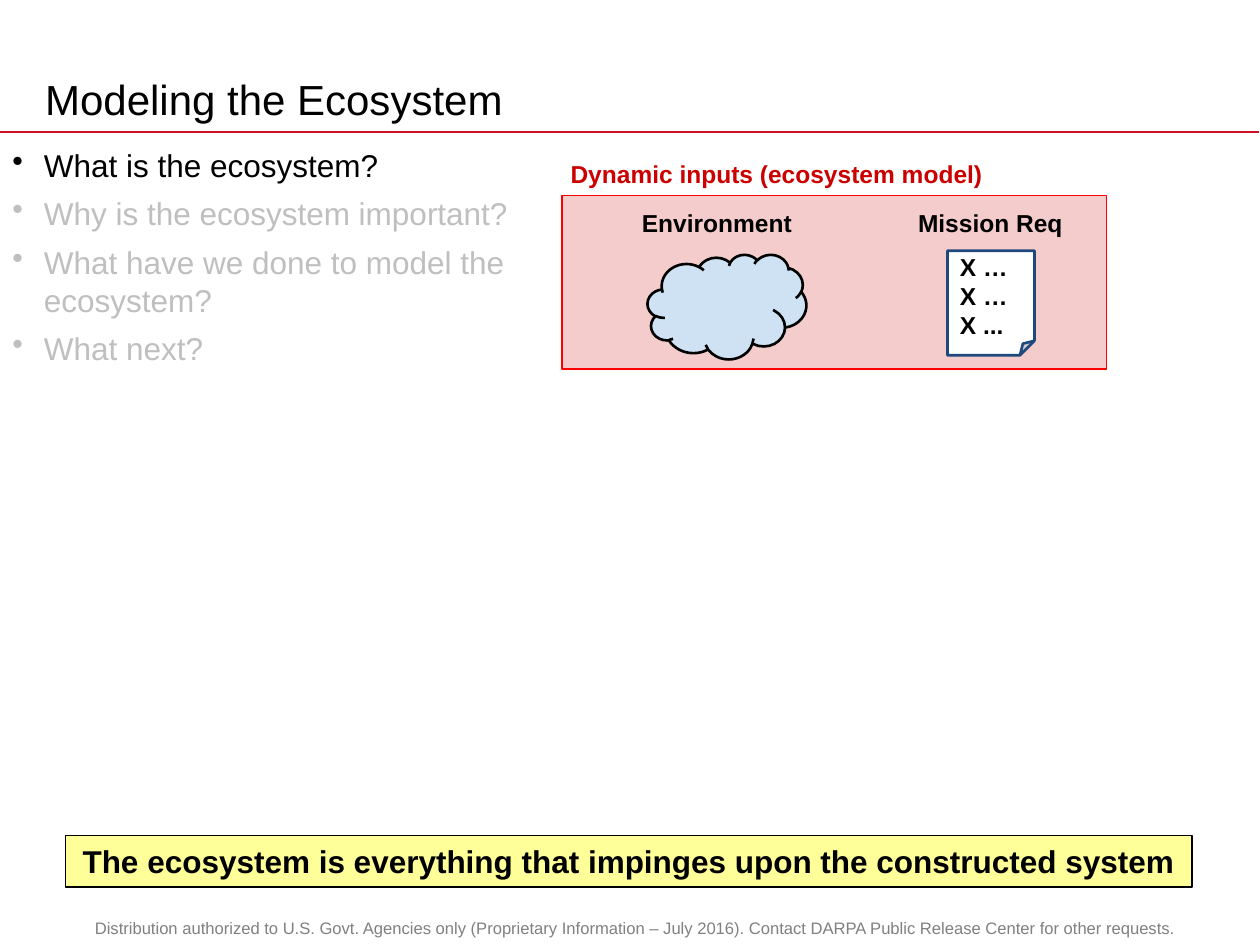
import pptx
import pptx.dml.color
import pptx.enum.shapes
import pptx.enum.text
import pptx.oxml
import pptx.util
from pptx.util import Inches, Pt

RGBColor = pptx.dml.color.RGBColor
MSO_SHAPE = pptx.enum.shapes.MSO_SHAPE
PP_ALIGN = pptx.enum.text.PP_ALIGN
MSO_ANCHOR = pptx.enum.text.MSO_ANCHOR

FONT = "Arial"
BLACK = RGBColor(0x00, 0x00, 0x00)
WHITE = RGBColor(0xFF, 0xFF, 0xFF)
RULE_RED = RGBColor(0xCE, 0x11, 0x26)
HEADING_RED = RGBColor(0xCC, 0x00, 0x00)
BORDER_RED = RGBColor(0xFF, 0x00, 0x00)
PINK = RGBColor(0xF4, 0xCC, 0xCC)
PALE_BLUE = RGBColor(0xCF, 0xE2, 0xF3)
NAVY = RGBColor(0x1F, 0x49, 0x7D)
YELLOW = RGBColor(0xFF, 0xFF, 0x99)
GRAY = RGBColor(0x80, 0x80, 0x80)
FADED = RGBColor(0xBF, 0xBF, 0xBF)

TITLE = "Modeling the Ecosystem"
QUESTIONS = [
    ("What is the ecosystem?", BLACK),
    ("Why is the ecosystem important?", FADED),
    ("What have we done to model the ecosystem?", FADED),
    ("What next?", FADED),
]
MODEL_HEADING = "Dynamic inputs (ecosystem model)"
INPUT_LABELS = [("Environment", 4.9), ("Mission Req", 7.07)]
REQUIREMENTS = ["X …", "X …", "X ..."]
TAKEAWAY = "The ecosystem is everything that impinges upon the constructed system"
FOOTER = (
    "Distribution authorized to U.S. Govt. Agencies only (Proprietary Information – July 2016). "
    "Contact DARPA Public Release Center for other requests."
)


def write(shape, lines, size, color=BLACK, bold=False, align=PP_ALIGN.LEFT, anchor=MSO_ANCHOR.TOP):
    frame = shape.text_frame
    frame.word_wrap = True
    frame.vertical_anchor = anchor
    frame.margin_left = frame.margin_right = Inches(0.1)
    frame.margin_top = frame.margin_bottom = Inches(0.1)
    frame.text = "\n".join(lines)
    for paragraph in frame.paragraphs:
        paragraph.alignment = align
        for run in paragraph.runs:
            run.font.name = FONT
            run.font.size = Pt(size)
            run.font.bold = bold
            run.font.color.rgb = color
    return frame


def add_text(shapes, box, lines, size, **style):
    return write(shapes.add_textbox(*map(Inches, box)), lines, size, **style)


def add_box(shapes, kind, box, fill, line, width):
    shape = shapes.add_shape(kind, *map(Inches, box))
    shape.shadow.inherit = False
    shape.fill.solid()
    shape.fill.fore_color.rgb = fill
    shape.line.color.rgb = line
    shape.line.width = Pt(width)
    return shape


def add_rule(shapes):
    rule = shapes.add_connector(
        pptx.enum.shapes.MSO_CONNECTOR.STRAIGHT, 0, Inches(1.05), Inches(9.99), Inches(1.05)
    )
    rule.line.color.rgb = RULE_RED
    rule.line.width = Pt(1)
    properties = rule._element.spPr
    properties.append(pptx.oxml.parse_xml(
        '<a:effectLst xmlns:a="http://schemas.openxmlformats.org/drawingml/2006/main"/>'
    ))


def add_model(shapes):
    add_text(shapes, (4.43, 1.16, 4.6, 0.54), [MODEL_HEADING], 14, color=HEADING_RED, bold=True)
    add_box(shapes, MSO_SHAPE.RECTANGLE, (4.46, 1.55, 4.32, 1.38), PINK, BORDER_RED, 0.75)
    add_box(shapes, MSO_SHAPE.CLOUD, (5.14, 2.02, 1.26, 0.83), PALE_BLUE, BLACK, 1.5)
    for label, left in INPUT_LABELS:
        add_text(shapes, (left, 1.55, 1.58, 0.51), [label], 14, bold=True, align=PP_ALIGN.CENTER)
    note = add_box(shapes, MSO_SHAPE.FOLDED_CORNER, (7.52, 1.99, 0.69, 0.83), WHITE, NAVY, 1.5)
    write(note, REQUIREMENTS, 14, bold=True, anchor=MSO_ANCHOR.MIDDLE)


def add_questions(shapes):
    frame = add_text(shapes, (0, 1.06, 4.39, 2.17), [text for text, _ in QUESTIONS], 18)
    for paragraph, (_, color) in zip(frame.paragraphs, QUESTIONS):
        properties = paragraph._p.get_or_add_pPr()
        properties.set("marL", str(Inches(0.25)))
        properties.set("indent", str(-Inches(0.25)))
        properties.append(pptx.oxml.parse_xml(
            '<a:buChar xmlns:a="http://schemas.openxmlformats.org/drawingml/2006/main" char="•"/>'
        ))
        paragraph.space_after = Pt(6)
        paragraph.runs[0].font.color.rgb = color


def main():
    presentation = pptx.Presentation()
    presentation.slide_width = Inches(10)
    presentation.slide_height = Inches(7.5)
    slide = presentation.slides.add_slide(presentation.slide_layouts[6])
    shapes = slide.shapes

    add_rule(shapes)
    footer = add_text(
        shapes, (0.58, 7.27, 8.92, 0.26), [FOOTER], 9.5, color=GRAY, align=PP_ALIGN.CENTER
    )
    footer.margin_top = footer.margin_bottom = Inches(0.05)
    footer.paragraphs[0].line_spacing = 0.8
    takeaway = add_box(shapes, MSO_SHAPE.RECTANGLE, (0.52, 6.63, 8.94, 0.41), YELLOW, BLACK, 0.75)
    write(takeaway, [TAKEAWAY], 18, bold=True, align=PP_ALIGN.CENTER, anchor=MSO_ANCHOR.MIDDLE)
    add_text(shapes, (0.26, 0.48, 4.87, 0.83), [TITLE], 24)
    add_model(shapes.add_group_shape().shapes)
    add_questions(shapes)

    presentation.save("out.pptx")


if __name__ == "__main__":
    main()
